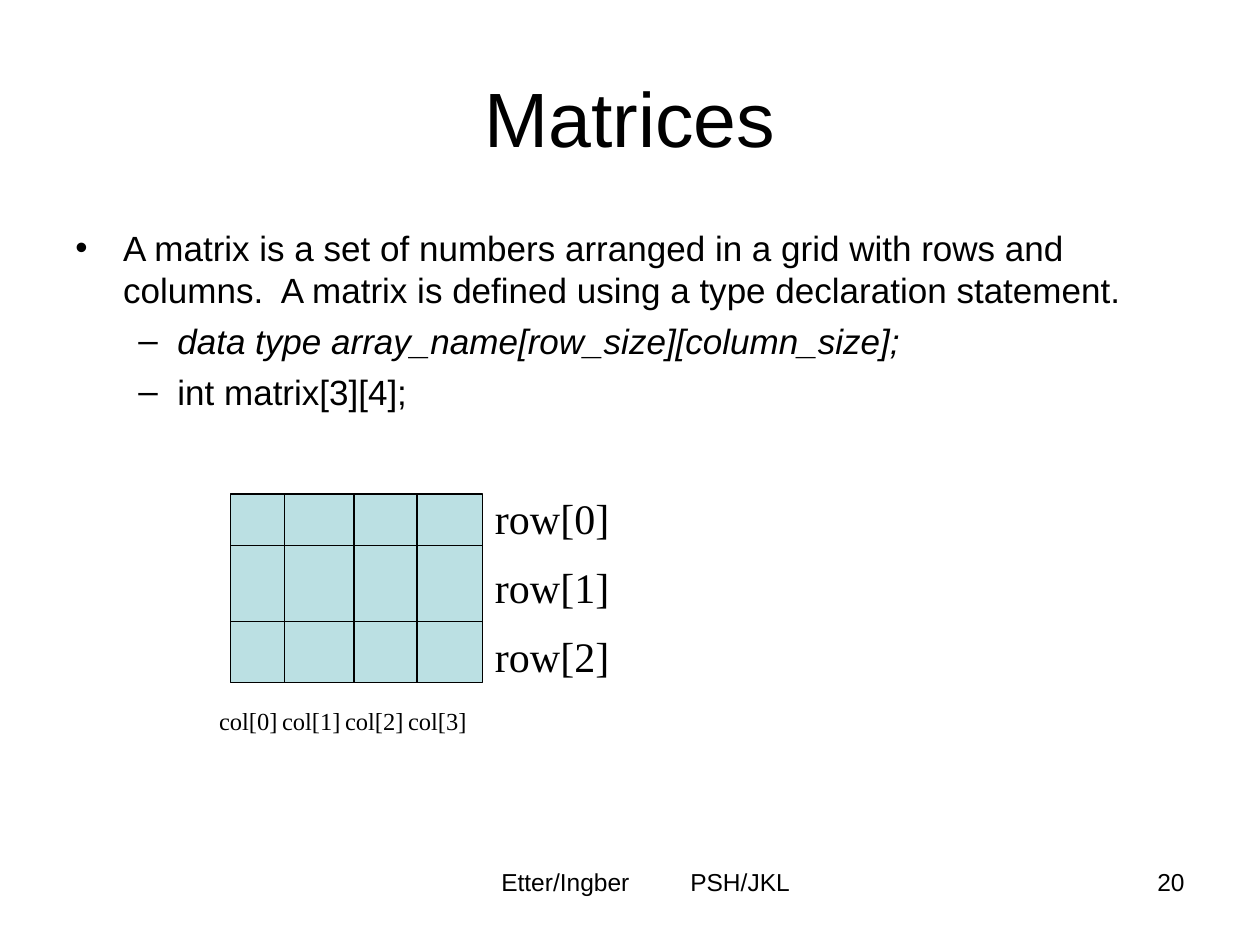
from lxml import etree
from pptx import Presentation
from pptx.dml.color import RGBColor
from pptx.enum import shapes, text
from pptx.oxml.ns import qn
from pptx.util import Inches, Pt

BLACK = "000000"
CELL_FILL = "BBE0E3"
ALIGN = text.PP_ALIGN


def colour(value):
    return RGBColor.from_string(value)


def write(paragraph, content, size=20, font="Arial", italic=False, align=ALIGN.LEFT,
          before=0, spacing=None, bullet=None, left=0, hanging=0, tabs=()):
    """Fill a paragraph; left, hanging and tabs are in inches."""
    properties = paragraph._p.get_or_add_pPr()
    properties.set("marL", str(Inches(left)))
    properties.set("indent", str(-Inches(hanging)))
    if bullet:
        etree.SubElement(properties, qn("a:buFont"), typeface="Arial")
        etree.SubElement(properties, qn("a:buChar"), char=bullet)
    if tabs:
        stops = etree.SubElement(properties, qn("a:tabLst"))
        for stop in tabs:
            etree.SubElement(stops, qn("a:tab"), pos=str(Inches(stop)), algn="l")
    paragraph.alignment = align
    paragraph.space_before = Pt(before)
    if spacing:
        paragraph.line_spacing = spacing
    run = paragraph.add_run()
    run.text = content
    run.font.size = Pt(size)
    run.font.name = font
    run.font.italic = italic
    run.font.color.rgb = colour(BLACK)


def add_text(slide, box, lines, before=0, **style):
    """Add a wrapped text box; each line is its wording and its own format."""
    frame = slide.shapes.add_textbox(*map(Inches, box)).text_frame
    frame.word_wrap = True
    for index, (content, own) in enumerate(lines):
        paragraph = frame.paragraphs[0] if index == 0 else frame.add_paragraph()
        write(paragraph, content, before=before if index else 0, **{**style, **own})


def add_title(slide, box, content):
    title = slide.shapes.title
    title.left, title.top, title.width, title.height = map(Inches, box)
    frame = title.text_frame
    frame.auto_size = text.MSO_AUTO_SIZE.NONE
    frame.vertical_anchor = text.MSO_ANCHOR.MIDDLE
    write(frame.paragraphs[0], content, size=44, align=ALIGN.CENTER)


def add_definition(slide, box):
    top_level = dict(bullet="•", left=0.38, hanging=0.38)
    sub_level = dict(bullet="–", left=0.81, hanging=0.31)
    add_text(slide, box, [
        ("A matrix is a set of numbers arranged in a grid with rows and columns.  "
         "A matrix is defined using a type declaration statement.", top_level),
        ("data type array_name[row_size][column_size];", dict(sub_level, italic=True)),
        ("int matrix[3][4];", sub_level),
    ], before=5)


def add_rule(slide, x1, y1, x2, y2):
    rule = slide.shapes.add_connector(
        shapes.MSO_CONNECTOR.STRAIGHT, *map(Inches, (x1, y1, x2, y2)))
    rule.line.color.rgb = colour(BLACK)
    rule.line.width = Pt(0.75)
    etree.SubElement(rule._element.spPr, qn("a:effectLst"))


def add_matrix(slide, box):
    """Draw the 3 by 4 grid with row names at its right and column names below."""
    left, top, width, height = box
    grid = slide.shapes.add_shape(shapes.MSO_SHAPE.RECTANGLE, *map(Inches, box))
    grid.shadow.inherit = False
    grid.fill.solid()
    grid.fill.fore_color.rgb = colour(CELL_FILL)
    grid.line.color.rgb = colour(BLACK)
    grid.line.width = Pt(0.75)
    for y in (0.41, 1.01):
        add_rule(slide, left, top + y, left + width, top + y)
    for x in (0.43, 0.98, 1.48):
        add_rule(slide, left + x, top, left + x, top + height)

    labels = dict(font="Times New Roman", spacing=0.85)
    add_text(slide, (left + width, top, 3.35, 1.54),
             [(f"row[{row}]", {}) for row in range(3)], size=24, before=15, **labels)
    add_text(slide, (left - 0.19, top + height + 0.17, 3.57, 0.3),
             [("\t".join(f"col[{column}]" for column in range(4)), {})],
             size=14, tabs=(0.56, 1.12, 1.64), **labels)


def add_footer(slide, top, height):
    add_text(slide, (3.88, top, 2.71, height),
             [("Etter/Ingber\tPSH/JKL", {})], size=14, tabs=(1.23,))
    add_text(slide, (7.17, top, 2.33, height), [("20", {})], size=14, align=ALIGN.RIGHT)


def main():
    deck = Presentation()
    deck.slide_width, deck.slide_height = Inches(10), Inches(7.5)
    slide = deck.slides.add_slide(deck.slide_layouts[5])
    add_title(slide, (0.5, 0.3, 9, 1.25), "Matrices")
    add_definition(slide, (0.5, 1.75, 9, 4.95))
    add_matrix(slide, (1.83, 3.92, 2, 1.5))
    add_footer(slide, 6.83, 0.52)
    deck.save("out.pptx")


if __name__ == "__main__":
    main()
